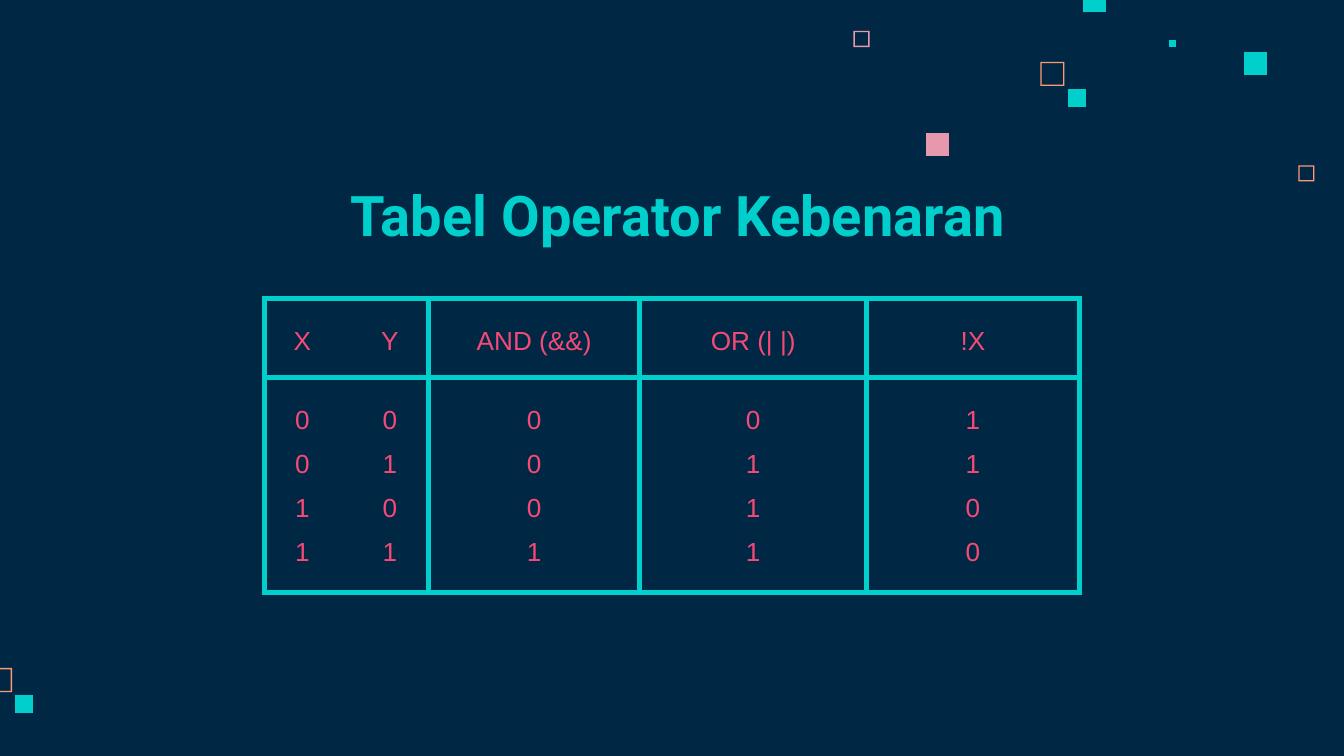
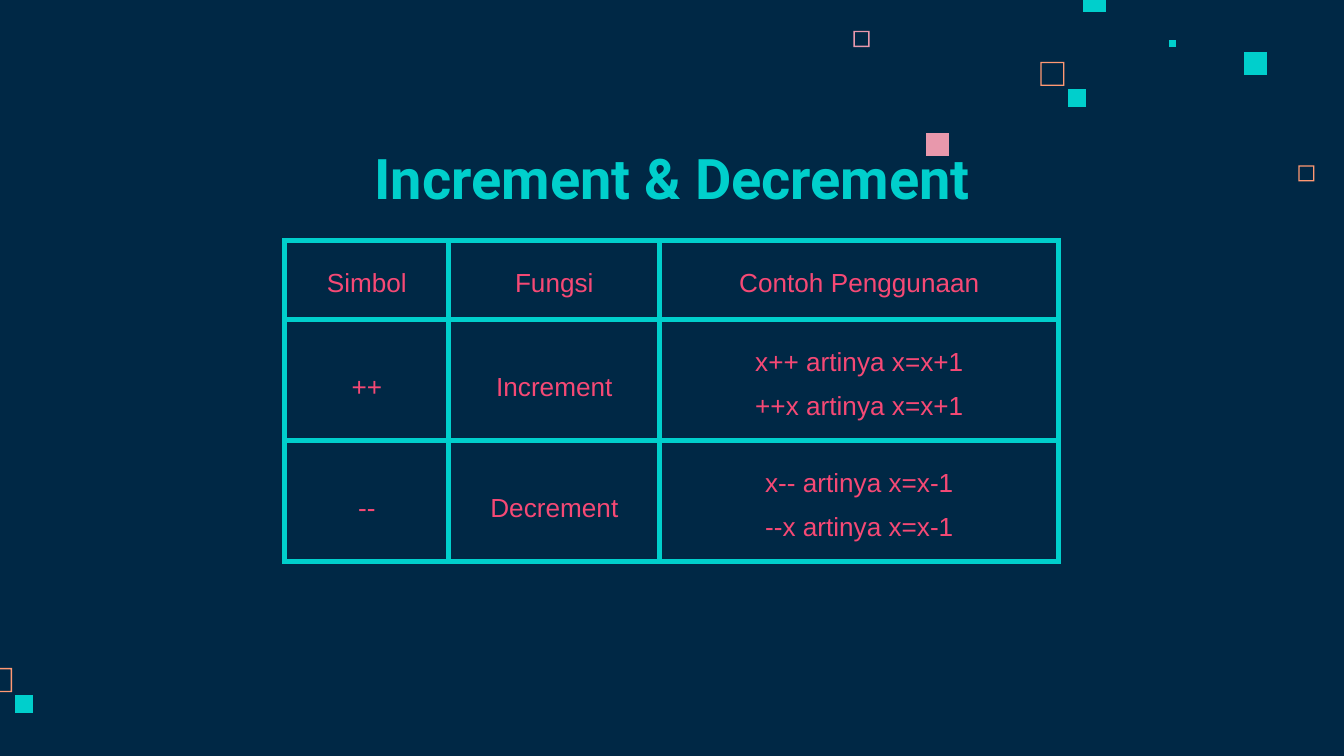
from dataclasses import dataclass
from lxml.etree import SubElement
from pptx import Presentation
from pptx.dml.color import RGBColor
from pptx.enum.text import MSO_ANCHOR, PP_ALIGN
from pptx.oxml.ns import qn
from pptx.util import Pt

PX = 4572
SLIDE_W, SLIDE_H = 2000, 1125
INSET = 20


@dataclass(frozen=True)
class Theme:
    """Colours, fonts and type sizes shared by the slides."""
    navy: str = "002845"
    teal: str = "00CFCC"
    orange: str = "FF9973"
    rose: str = "E898AC"
    pink: str = "F64975"
    title_font: str = "Roboto"
    body_font: str = "Arial"
    title_size: int = 30
    body_size: int = 14
    border: int = 3


THEME = Theme()

SOLID_SQUARES = [
    (1740, 60, 10, THEME.teal),
    (1612, -16, 34, THEME.teal),
    (1852, 78, 34, THEME.teal),
    (1589, 132, 27, THEME.teal),
    (1378, 198, 34, THEME.rose),
    (22, 1034, 27, THEME.teal),
]
HOLLOW_SQUARES = [
    (1932, 246, 24, THEME.orange),
    (1270, 46, 24, THEME.rose),
    (1548, 92, 36, THEME.orange),
    (-18, 994, 36, THEME.orange),
]


def px(n):
    """Turn px into EMU."""
    return n * PX


def write_text(tf, text, font, size, color, bold=False, spacing=1.0, tabs=()):
    """Fill a text frame with one paragraph per line of text."""
    tf.word_wrap = True
    for i, line in enumerate(text.split("\n")):
        p = tf.paragraphs[0] if i == 0 else tf.add_paragraph()
        p.line_spacing = spacing
        p.alignment = PP_ALIGN.LEFT if tabs else PP_ALIGN.CENTER
        if tabs:
            tab_list = SubElement(p._p.get_or_add_pPr(), qn("a:tabLst"))
            for pos in tabs:
                SubElement(tab_list, qn("a:tab"), pos=str(px(pos)), algn="ctr")
        r = p.add_run()
        r.text = line
        r.font.name = font
        r.font.size = Pt(size)
        r.font.bold = bold
        r.font.color.rgb = RGBColor.from_string(color)


class Deck:
    """Holds the theme and the slide being built."""

    def __init__(self, prs, theme):
        """Set the slide size."""
        self.prs, self.theme, self.s = prs, theme, None
        prs.slide_width, prs.slide_height = px(SLIDE_W), px(SLIDE_H)

    def new_slide(self):
        """Start a slide with the shared background and squares."""
        self.s = self.prs.slides.add_slide(self.prs.slide_layouts[6])
        fill = self.s.background.fill
        fill.solid()
        fill.fore_color.rgb = RGBColor.from_string(self.theme.navy)
        for square in HOLLOW_SQUARES:
            self.square(*square, rim=2)
        for square in SOLID_SQUARES:
            self.square(*square)

    def square(self, x, y, side, color, rim=0):
        """Draw a square, with a hole inside when it has a rim."""
        end_x, end_y = x + side, y + side
        fb = self.s.shapes.build_freeform(x, y, scale=PX)
        fb.add_line_segments([(x, end_y), (end_x, end_y), (end_x, y)])
        if rim:
            left, top, right, bottom = x + rim, y + rim, end_x - rim, end_y - rim
            fb.move_to(left, top)
            fb.add_line_segments([(right, top), (right, bottom), (left, bottom)])
        sp = fb.convert_to_shape()
        sp.shadow.inherit = False
        sp.fill.solid()
        sp.fill.fore_color.rgb = RGBColor.from_string(color)
        sp.line.fill.background()

    def title(self, text, x, y):
        """Add the slide title."""
        t = self.theme
        tf = self.s.shapes.add_textbox(px(x), px(y), px(1490), px(146)).text_frame
        tf.margin_left = tf.margin_right = px(INSET)
        tf.margin_top = tf.margin_bottom = px(INSET)
        write_text(tf, text, font=t.title_font, size=t.title_size,
                   color=t.teal, bold=True)

    def table(self, x, y, widths, heights, rows, middle=(), tabs=()):
        """Add an outlined table; middle lists the (row, column) cells to centre."""
        t = self.theme
        table = self.s.shapes.add_table(len(rows), len(widths), px(x), px(y),
                                        px(sum(widths)), px(sum(heights))).table
        table.first_row = table.horz_banding = False
        for column, width in zip(table.columns, widths):
            column.width = px(width)
        for i, (row, height) in enumerate(zip(rows, heights)):
            table.rows[i].height = px(height)
            for j, text in enumerate(row):
                cell = table.cell(i, j)
                cell.margin_left = cell.margin_right = px(INSET)
                cell.margin_top = cell.margin_bottom = px(INSET)
                anchored = (i, j) in middle
                cell.vertical_anchor = MSO_ANCHOR.MIDDLE if anchored else MSO_ANCHOR.TOP
                self.borders(cell)
                cell.fill.background()
                write_text(cell.text_frame, text, font=t.body_font, size=t.body_size,
                           color=t.pink, spacing=1.5, tabs=tabs if "\t" in text else ())

    def borders(self, cell):
        """Outline all four sides of a cell."""
        tc_pr = cell._tc.get_or_add_tcPr()
        for side in ("lnL", "lnR", "lnT", "lnB"):
            ln = SubElement(tc_pr, qn(f"a:{side}"), w=str(Pt(self.theme.border)))
            fill = SubElement(ln, qn("a:solidFill"))
            SubElement(fill, qn("a:srgbClr"), val=self.theme.teal)


def main():
    """Build both slides and save them."""
    prs = Presentation()
    deck = Deck(prs, THEME)

    deck.new_slide()
    deck.title("Tabel Operator Kebenaran", 264, 248)
    deck.table(394, 444, [244, 314, 338, 316], [118, 298], [
        ["\tX\tY", "AND (&&)", "OR (| |)", "!X"],
        ["\t0\t0\n\t0\t1\n\t1\t0\n\t1\t1", "0\n0\n0\n1", "0\n1\n1\n1", "1\n1\n0\n0"],
    ], tabs=(36, 166))

    deck.new_slide()
    deck.title("Increment & Decrement", 256, 194)
    deck.table(424, 358, [244, 314, 594], [118, 162, 162], [
        ["Simbol", "Fungsi", "Contoh Penggunaan"],
        ["++", "Increment", "x++ artinya x=x+1\n++x artinya x=x+1"],
        ["--", "Decrement", "x-- artinya x=x-1\n--x artinya x=x-1"],
    ], middle=[(1, 0), (1, 1), (2, 0), (2, 1)])

    prs.save("out.pptx")


if __name__ == "__main__":
    main()
